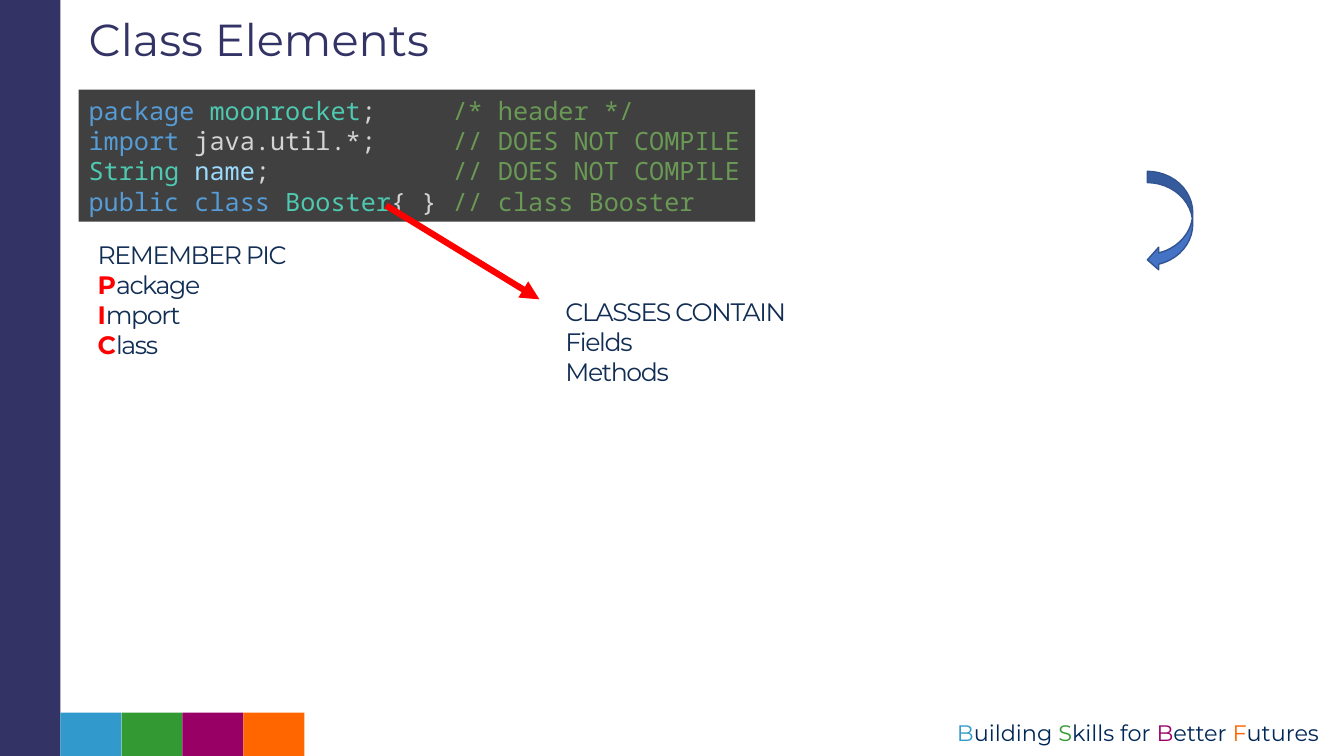
"""Build the Class Elements slide."""
import pptx
import pptx.dml.color
import pptx.enum.shapes
import pptx.enum.text
import pptx.oxml.ns
import pptx.util
from lxml import etree

Inches, Pt = pptx.util.Inches, pptx.util.Pt
SHAPE = pptx.enum.shapes.MSO_SHAPE
ALIGN = pptx.enum.text.PP_ALIGN
qn = pptx.oxml.ns.qn

INDIGO, NAVY, INK, RED = "333366", "002856", "112D54", "FF0000"
BLUE, GREEN, PURPLE, ORANGE = SWATCHES = ["3299CC", "339933", "990066", "FF6600"]
KEYWORD, TYPE, VARIABLE, PLAIN, COMMENT = "569CD6", "4EC9B0", "9CDCFE", "D4D4D4", "6A9955"

TITLE = [[("Class Elements", INDIGO)]]
TAGLINE = [[("B", BLUE), ("uilding ", NAVY), ("S", GREEN), ("kills for ", NAVY),
            ("B", PURPLE), ("etter ", NAVY), ("F", ORANGE), ("utures", NAVY)]]
REMEMBER = [[("REMEMBER PIC", INK)]] + [
    [(word[0], RED), (word[1:], INK)] for word in ("Package", "Import", "Class")]
CONTAIN = [[(line, INK)] for line in ("CLASSES CONTAIN", "Fields", "Methods")]
CODE = [
    [("package ", KEYWORD), ("moonrocket", TYPE), (";\t", PLAIN), ("/* header */", COMMENT)],
    [("import ", KEYWORD), ("java.util.*;\t", PLAIN), ("// DOES NOT COMPILE", COMMENT)],
    [("String ", TYPE), ("name", VARIABLE), (";\t", PLAIN), ("// DOES NOT COMPILE", COMMENT)],
    [("public class ", KEYWORD), ("Booster", TYPE), ("{ }\t", PLAIN), ("// class Booster", COMMENT)],
]
SWATCH_LEFT, SWATCH_TOP, SWATCH_STEP = 0.6, 7.07, 0.605
COMMENT_COLUMN = 3.61


def rgb(value):
    return pptx.dml.color.RGBColor.from_string(value)


def add_block(slide, kind, box, fill, outline=None):
    block = slide.shapes.add_shape(kind, *map(Inches, box))
    block.shadow.inherit = False
    block.fill.solid()
    block.fill.fore_color.rgb = rgb(fill)
    if outline:
        block.line.color.rgb = rgb(outline)
        block.line.width = Pt(1)
    else:
        block.line.fill.background()
    return block


def write(frame, lines, size, font="Montserrat", align=ALIGN.LEFT, spacing=None, tracking=None):
    frame.word_wrap = True
    frame.vertical_anchor = pptx.enum.text.MSO_ANCHOR.TOP
    for number, line in enumerate(lines):
        paragraph = frame.add_paragraph() if number else frame.paragraphs[0]
        paragraph.alignment = align
        paragraph.line_spacing = spacing
        for text, color in line:
            run = paragraph.add_run()
            run.text = text
            run.font.size = Pt(size)
            run.font.name = font
            run.font.color.rgb = rgb(color)
            run.font.bold = color == RED
            if tracking:
                run.font._element.set("spc", str(tracking))


def add_label(slide, box, lines, size, **style):
    label = slide.shapes.add_textbox(*map(Inches, box))
    write(label.text_frame, lines, size, **style)


def add_code(slide):
    code = add_block(slide, SHAPE.RECTANGLE, (0.78, 0.89, 6.71, 1.31), "404040")
    write(code.text_frame, CODE, 18, font="Noto Sans Mono", spacing=Pt(21.75))
    for paragraph in code.text_frame.paragraphs:
        tabs = etree.SubElement(paragraph._p.get_or_add_pPr(), qn("a:tabLst"))
        etree.SubElement(tabs, qn("a:tab"), pos=str(Inches(COMMENT_COLUMN)), algn="l")


def add_pointer(slide, start, end):
    pointer = slide.shapes.add_connector(
        pptx.enum.shapes.MSO_CONNECTOR.STRAIGHT, *map(Inches, start + end))
    pointer.line.color.rgb = rgb(RED)
    pointer.line.width = Pt(4.5)
    etree.SubElement(pointer.line._get_or_add_ln(), qn("a:tailEnd"), type="triangle")
    etree.SubElement(pointer._element.spPr, qn("a:effectLst"))


def main():
    deck = pptx.Presentation()
    deck.slide_width, deck.slide_height = Inches(13.33), Inches(7.5)
    slide = deck.slides.add_slide(deck.slide_layouts[6])

    add_block(slide, SHAPE.RECTANGLE, (0, 0, 0.6, 7.5), INDIGO)
    for column, color in enumerate(SWATCHES):
        left = SWATCH_LEFT + column * SWATCH_STEP
        add_block(slide, SHAPE.RECTANGLE, (left, SWATCH_TOP, SWATCH_STEP, 7.5 - SWATCH_TOP), color)
    add_label(slide, (8.36, 7.09, 4.82, 0.37), TAGLINE, 16, align=ALIGN.RIGHT)
    add_label(slide, (0.78, 0.13, 10.35, 0.63), TITLE, 32, spacing=0.9)
    add_block(slide, SHAPE.CURVED_LEFT_ARROW, (11.38, 1.7, 0.45, 0.99), "4472C4", "325491")
    add_label(slide, (0.87, 2.32, 2.87, 1.31), REMEMBER, 18, tracking=-100)
    add_label(slide, (5.51, 2.89, 2.48, 1.01), CONTAIN, 18, tracking=-100)
    add_code(slide)
    add_pointer(slide, (3.83, 2.04), (5.35, 2.97))
    deck.save("out.pptx")


if __name__ == "__main__":
    main()
